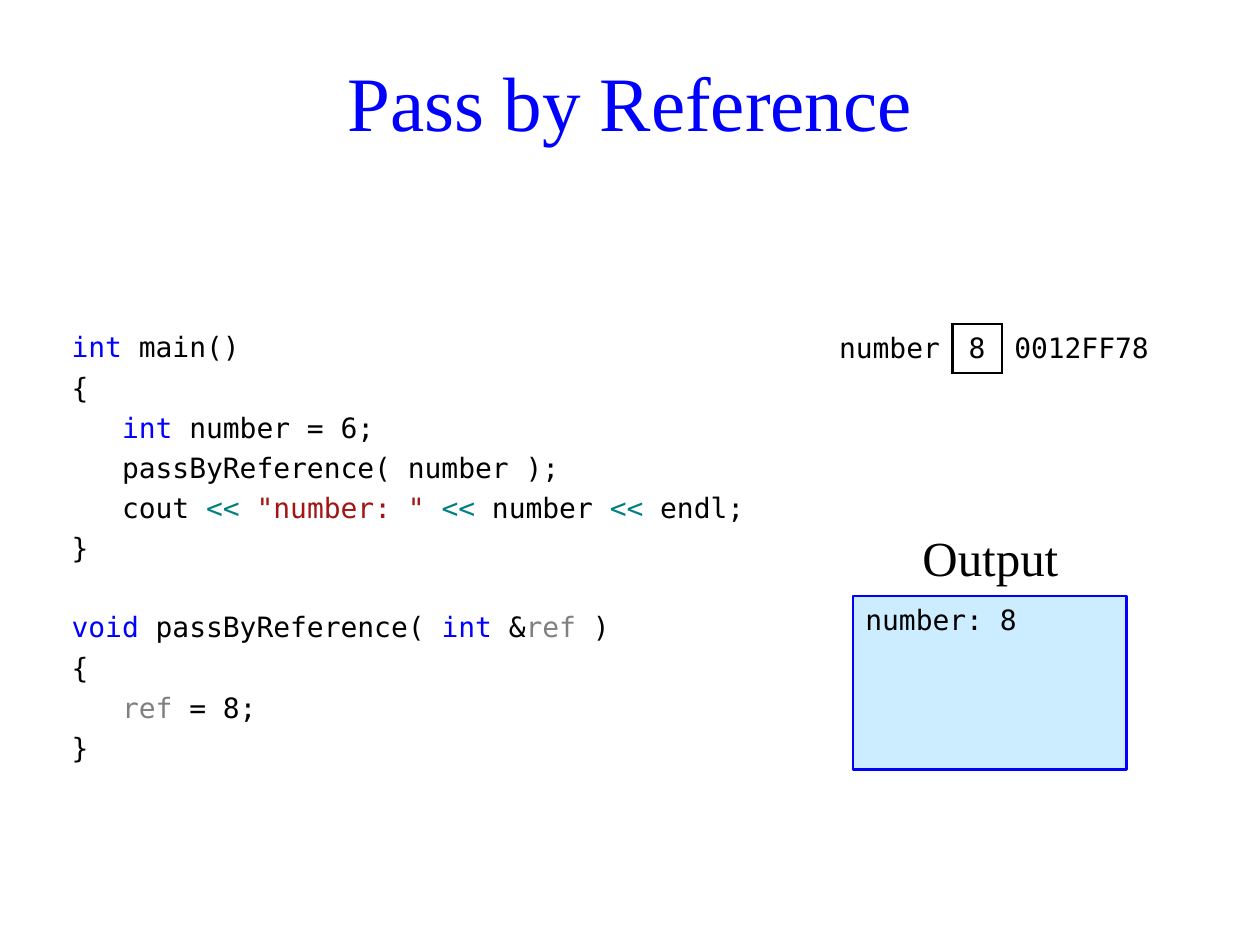
from lxml import etree
from pptx import Presentation
from pptx.dml.color import RGBColor
from pptx.enum.shapes import MSO_SHAPE
from pptx.enum.text import MSO_ANCHOR, PP_ALIGN
from pptx.oxml.ns import qn
from pptx.util import Inches, Pt

LEFT, CENTER, RIGHT = PP_ALIGN.LEFT, PP_ALIGN.CENTER, PP_ALIGN.RIGHT
TOP, MIDDLE = MSO_ANCHOR.TOP, MSO_ANCHOR.MIDDLE
RECT = MSO_SHAPE.RECTANGLE

THEME = {
    "serif": "Times New Roman", "mono": "DejaVu Sans Mono",
    "title": 44, "label": 28, "code": 16, "line": 1.5,
    "text": "000000", "key": "0000FF", "op": "008080",
    "str": "A31515", "ref": "808080", "panel": "CCECFF",
}
GAP, BREAK = 3.75, 26.1

TITLE = "Pass by Reference"
MAIN = [
    [("int", "key"), (" main()", "text")],
    [("{", "text")],
    [("   ", "text"), ("int", "key"), (" number = 6;", "text")],
    [("   passByReference( number );", "text")],
    [("   cout ", "text"), ("<< ", "op"), ("\"number: \" ", "str"), ("<<", "op"),
     (" number ", "text"), ("<<", "op"), (" endl;", "text")],
    [("}", "text")],
]
FUNC = [
    [("void ", "key"), ("passByReference( ", "text"), ("int", "key"),
     (" &", "text"), ("ref", "ref"), (" )", "text")],
    [("{", "text")],
    [("   ", "text"), ("ref", "ref"), (" = 8;", "text")],
    [("}", "text")],
]
MEMORY = [
    ("", 0.79, LEFT, 0.1, 0.1, ""),
    ("number", 1.18, RIGHT, 0.1, 0.1, "R"),
    ("8", 0.39, CENTER, 0.08, 0.08, "LRTB"),
    ("0012FF78", 1.38, LEFT, 0.1, 0.08, "L"),
]
LABEL, RESULT = "Output", "number: 8"


def color(name):
    return RGBColor.from_string(THEME[name])


def style(run, size, face, tint):
    run.font.size = Pt(THEME[size])
    run.font.name = THEME[face]
    run.font.color.rgb = color(tint)


def write(frame, text, size, face, tint, align=LEFT, anchor=TOP):
    frame.text = text
    frame.word_wrap = True
    frame.vertical_anchor = anchor
    para = frame.paragraphs[0]
    para.alignment = align
    for run in para.runs:
        style(run, size, face, tint)


def add_box(slide, *box):
    return slide.shapes.add_textbox(*map(Inches, box)).text_frame


def add_code(slide, *box):
    frame = add_box(slide, *box)
    frame.word_wrap = True
    for row, line in enumerate(MAIN + FUNC):
        para = frame.add_paragraph() if row else frame.paragraphs[0]
        if row:
            para.space_before = Pt(BREAK if row == len(MAIN) else GAP)
        for text, tint in line:
            run = para.add_run()
            run.text = text
            style(run, "code", "mono", tint)


def set_edges(cell, drawn):
    props = cell._tc.get_or_add_tcPr()
    for spot, side in enumerate("LRTB"):
        edge = etree.Element(qn(f"a:ln{side}"), w=str(Pt(THEME["line"])))
        if side in drawn:
            fill = etree.SubElement(edge, qn("a:solidFill"))
            etree.SubElement(fill, qn("a:srgbClr"), val=THEME["text"])
        else:
            etree.SubElement(edge, qn("a:noFill"))
        props.insert(spot, edge)


def add_memory(slide, left, top, height):
    width = sum(item[1] for item in MEMORY)
    table = slide.shapes.add_table(
        1, len(MEMORY), *map(Inches, (left, top, width, height))).table
    table.first_row = table.horz_banding = False
    for col, (text, wide, align, before, after, edges) in enumerate(MEMORY):
        table.columns[col].width = Inches(wide)
        cell = table.cell(0, col)
        cell.margin_left, cell.margin_right = Inches(before), Inches(after)
        cell.margin_top = cell.margin_bottom = Inches(0.05 if text else 0)
        cell.vertical_anchor = MIDDLE
        cell.text = text
        para = cell.text_frame.paragraphs[0]
        para.alignment = align
        for run in para.runs:
            style(run, "code", "mono", "text")
        cell.fill.background()
        set_edges(cell, edges)


def add_panel(slide, *box):
    panel = slide.shapes.add_shape(RECT, *map(Inches, box))
    panel.shadow.inherit = False
    panel.fill.solid()
    panel.fill.fore_color.rgb = color("panel")
    panel.line.color.rgb = color("key")
    panel.line.width = Pt(THEME["line"])
    write(panel.text_frame, RESULT, "code", "mono", "text")


def main():
    deck = Presentation()
    deck.slide_width, deck.slide_height = Inches(10), Inches(7.5)
    slide = deck.slides.add_slide(deck.slide_layouts[6])
    write(add_box(slide, 0.47, 0.21, 9.06, 1.18), TITLE,
          "title", "serif", "key", CENTER, MIDDLE)
    add_code(slide, 0.47, 2.57, 5.71, 3.54)
    add_memory(slide, 5.59, 2.57, 0.39)
    add_panel(slide, 6.77, 4.73, 2.17, 1.38)
    write(add_box(slide, 7.17, 4.14, 1.38, 0.59), LABEL,
          "label", "serif", "text", CENTER)
    deck.save("out.pptx")


if __name__ == "__main__":
    main()
